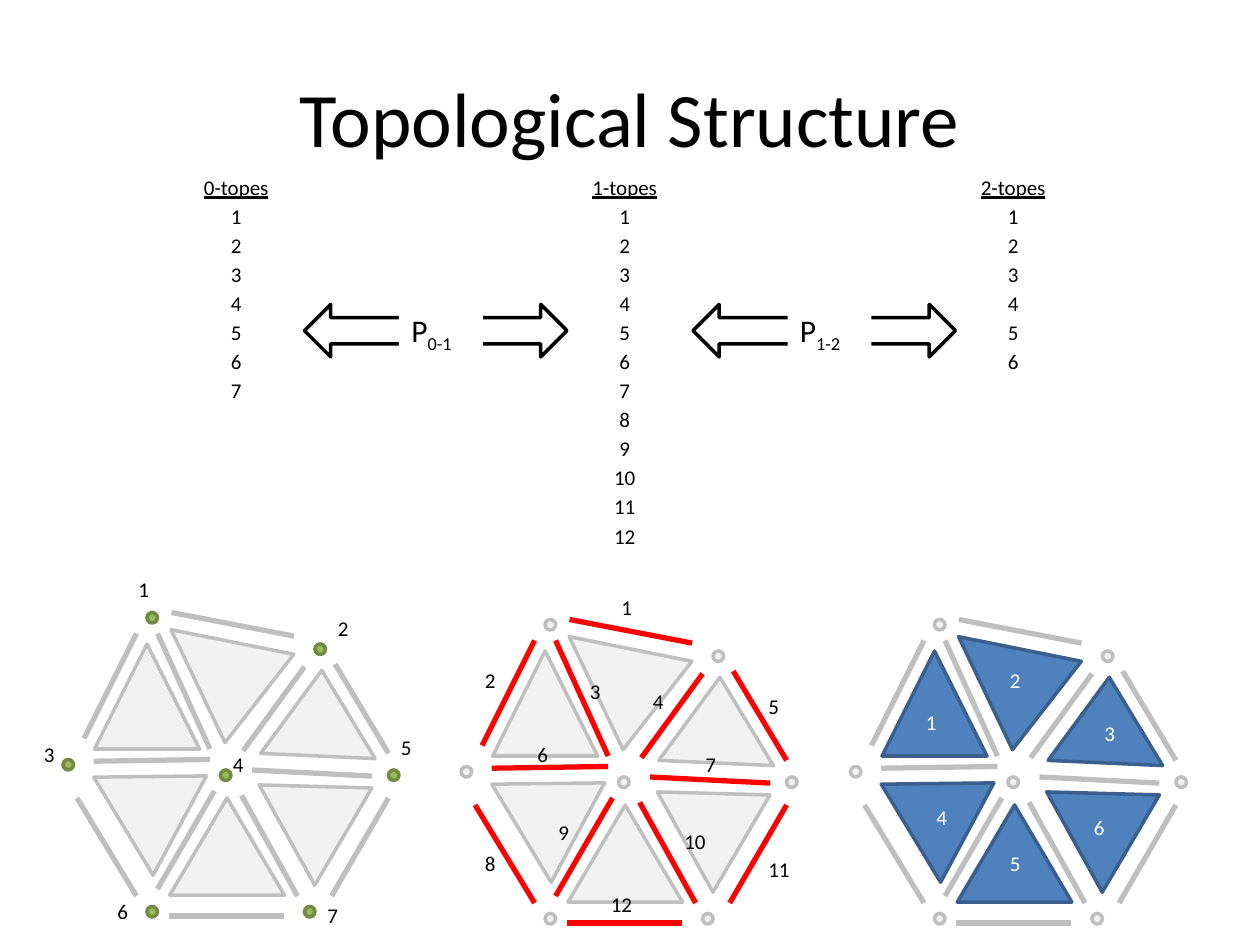
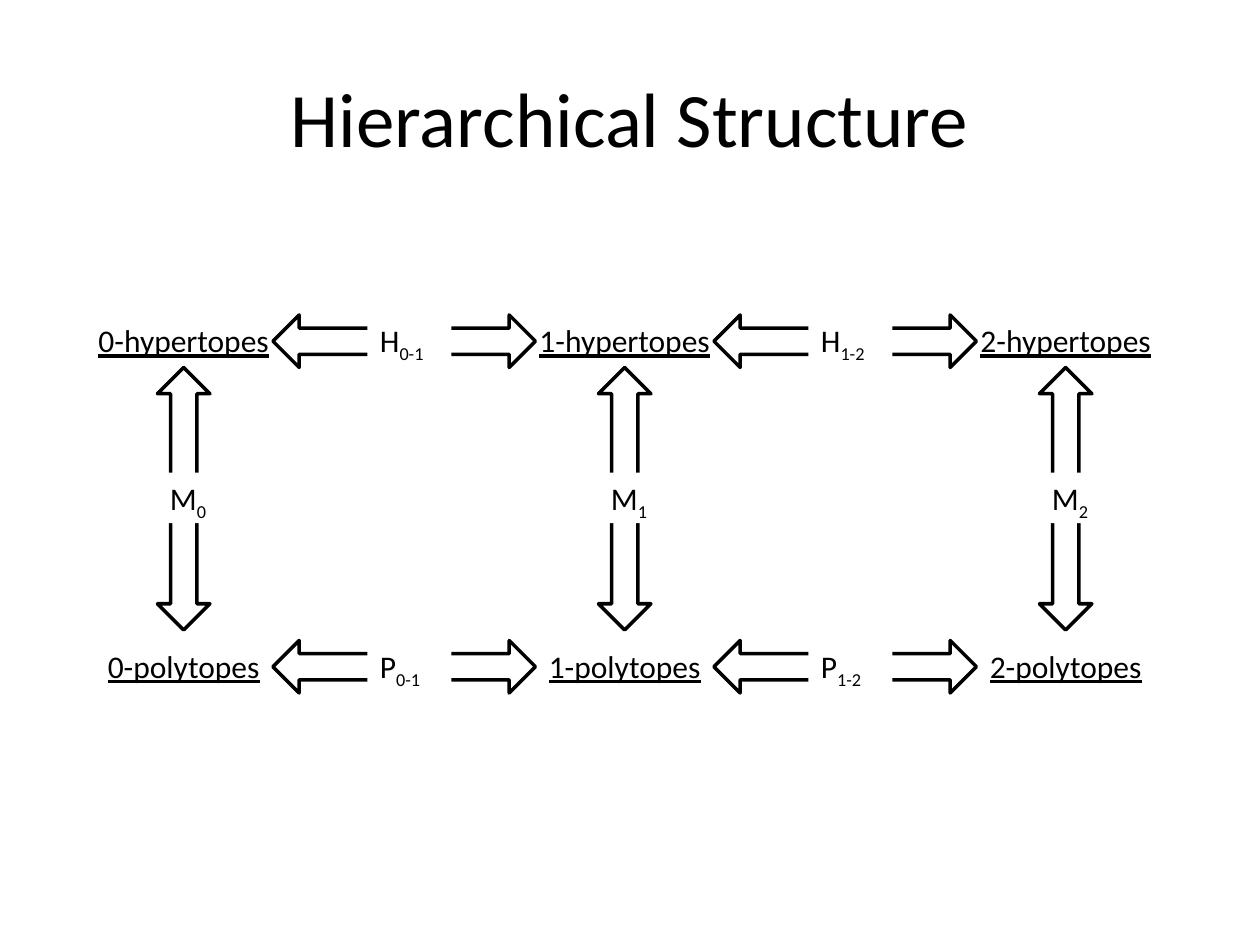
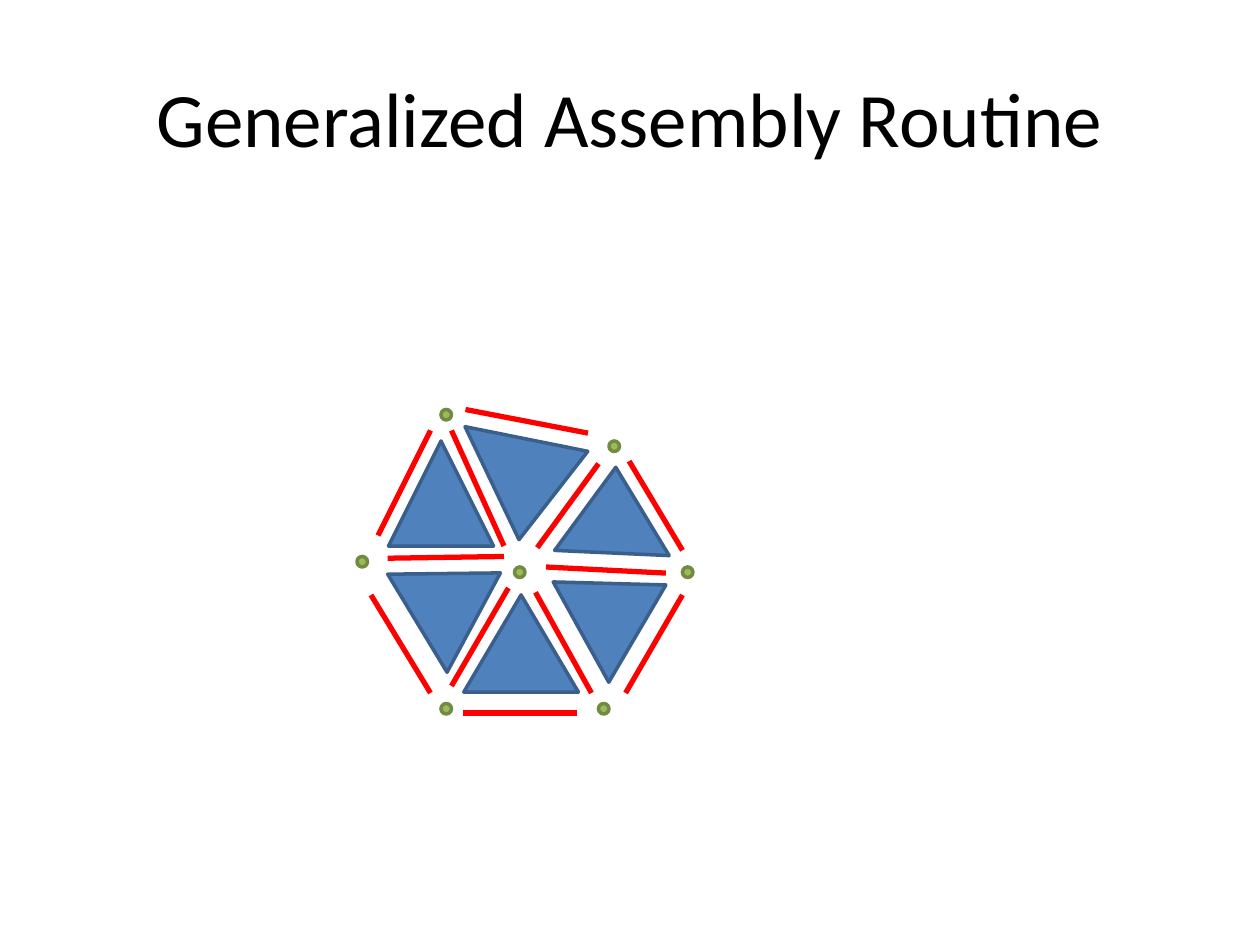
from lxml.etree import SubElement
from pptx import Presentation
from pptx.dml.color import RGBColor as RGB
from pptx.enum.shapes import MSO_CONNECTOR as LINE, MSO_SHAPE as SHAPE
from pptx.enum.text import MSO_ANCHOR as ANCHOR, PP_ALIGN as ALIGN
from pptx.oxml.ns import qn
from pptx.util import Pt

HEX = {"black": "000000", "white": "FFFFFF", "red": "FF0000",
       "pale": "F2F2F2", "grey": "BFBFBF", "green": "9BBB59",
       "moss": "738A42", "blue": "4F81BD", "navy": "3A5F8C"}
FONT = "Calibri"

# Parts of the mesh, measured from its left and top dots
FACES = [(18, 18, 60, 60, 0), (55, -2.5, 64, 64, 307.9),
         (114, 33, 65.5, 49, 2.6), (119.5, 86, 65.5, 55.5, 61),
         (25.5, 80, 65.5, 55.5, 58.8), (61, 106, 65.5, 55.5, 0)]
EDGES = [(54, 12, 84, 78), (17.5, 85, 84, 84), (54, 158, 86.5, 102),
         (138, 31, 103, 79), (108, 90, 176.5, 93.5), (102, 104.5, 134, 162),
         (42, 12, 12, 72), (62, 0, 132, 13.5), (155.5, 29.5, 186, 80.5),
         (186, 106, 153.5, 162), (126, 173.5, 60.5, 173.5), (8, 106, 42, 162)]
DOTS = [(48, 0), (144, 18), (90, 90), (186, 90), (0, 84), (48, 168), (138, 168)]


def form(slide, kind, box, fill, line, turn=0):
    """Add a filled preset shape with a 2 pt outline."""
    item = slide.shapes.add_shape(kind, *map(Pt, box))
    item.rotation = turn
    item.shadow.inherit = False
    item.fill.solid()
    item.fill.fore_color.rgb = RGB.from_string(HEX[fill])
    item.line.color.rgb = RGB.from_string(HEX[line])
    item.line.width = Pt(2)


def text(slide, box, paras, size, color="black", align=ALIGN.LEFT, gap=0):
    """Add a text box; each paragraph is a list of (words, style) runs."""
    item = slide.shapes.add_textbox(*map(Pt, box))
    frame = item.text_frame
    frame.word_wrap = True
    for i, runs in enumerate(paras):
        para = frame.paragraphs[0] if i == 0 else frame.add_paragraph()
        para.alignment = align
        para.space_before = Pt(gap)
        for words, style in runs:
            run = para.add_run()
            run.text = words
            run.font.name = FONT
            run.font.size = Pt(size)
            run.font.color.rgb = RGB.from_string(HEX[color])
            if style == "under":
                run.font.underline = True
            if style == "sub":
                run._r.get_or_add_rPr().set("baseline", "-25000")
    return item


deck = Presentation()
deck.slide_width, deck.slide_height = Pt(720), Pt(540)

# Slides and titles
slides = []
for title in ("Topological Structure", "Hierarchical Structure",
              "Generalized Assembly Routine"):
    slide = deck.slides.add_slide(deck.slide_layouts[6])
    head = text(slide, (36, 21.6, 648, 90), [[(title, "")]], 44,
                align=ALIGN.CENTER)
    head.text_frame.vertical_anchor = ANCHOR.MIDDLE
    slides.append(slide)
topo, tree, join = slides

# Meshes
gray, leaf, sea = ("pale", "grey"), ("green", "moss"), ("blue", "navy")
for slide, left, top, face, edge, dot in (
        (topo, 36, 350, gray, "grey", leaf),
        (topo, 263.5, 354, gray, "red", gray),
        (topo, 486, 354, sea, "grey", gray),
        (join, 204, 234, sea, "red", leaf)):
    for x, y, w, h, turn in FACES:
        form(slide, SHAPE.ISOSCELES_TRIANGLE, (left + x, top + y, w, h),
             *face, turn)
    for x1, y1, x2, y2 in EDGES:
        side = slide.shapes.add_connector(
            LINE.STRAIGHT, Pt(left + x1), Pt(top + y1),
            Pt(left + x2), Pt(top + y2))
        side.line.color.rgb = RGB.from_string(HEX[edge])
        side.line.width = Pt(3)
        SubElement(side._element.spPr, qn("a:effectLst"))
    for x, y in DOTS:
        form(slide, SHAPE.OVAL, (left + x, top + y, 6, 6), *dot)

# Numbers on the meshes, in counting order
for color, spots in (
        ("black", [(72, 326), (186, 348), (18, 420), (126, 426),
                   (222, 416), (60, 510), (180, 512)]),
        ("black", [(348, 336), (270, 378), (330, 384), (366, 390),
                   (432, 392.5), (300, 420), (396, 426), (270, 482.5),
                   (312, 464.5), (384, 470), (432, 486), (342, 506)]),
        ("white", [(522, 402), (570, 378), (624, 408), (528, 456),
                   (570, 482.5), (618, 462)])):
    for num, (x, y) in enumerate(spots, 1):
        wide = 24 if num < 10 else 30
        text(topo, (x, y, wide, 21.6), [[(str(num), "")]], 12, color)

# Lists of topes
for dim, (x, count) in enumerate(((78, 7), (300, 12), (522, 6))):
    rows = [[(f"{dim}-topes", "under")]]
    rows += [[(str(num), "")] for num in range(1, count + 1)]
    text(topo, (x, 96, 114, 234), rows, 12, align=ALIGN.CENTER, gap=2.2)

# Names of the levels
for y, kind in ((366, "polytopes"), (180, "hypertopes")):
    for dim in range(3):
        text(tree, (48 + 252 * dim, y, 114, 30),
             [[(f"{dim}-{kind}", "under")]], 18, align=ALIGN.CENTER, gap=3.3)

# Two-way arrows with their labels
links = [(topo, 174 + 222 * i, 174, 0, "P", f"{i}-{i + 1}") for i in range(2)]
links += [(tree, 156 + 252 * i, y, 0, name, f"{i}-{i + 1}")
          for y, name in ((366, "P"), (180, "H")) for i in range(2)]
links += [(tree, 30 + 252 * i, 270, 270, "M", str(i)) for i in range(3)]
for slide, x, y, turn, name, low in links:
    form(slide, SHAPE.LEFT_RIGHT_ARROW, (x, y, 150, 30), "white", "black", turn)
    inset, wide = (60, 42) if turn else (54, 48)
    tag = text(slide, (x + inset, y, wide, 29), [[(name, ""), (low, "sub")]], 18)
    tag.fill.solid()
    tag.fill.fore_color.rgb = RGB.from_string(HEX["white"])

deck.save("out.pptx")
